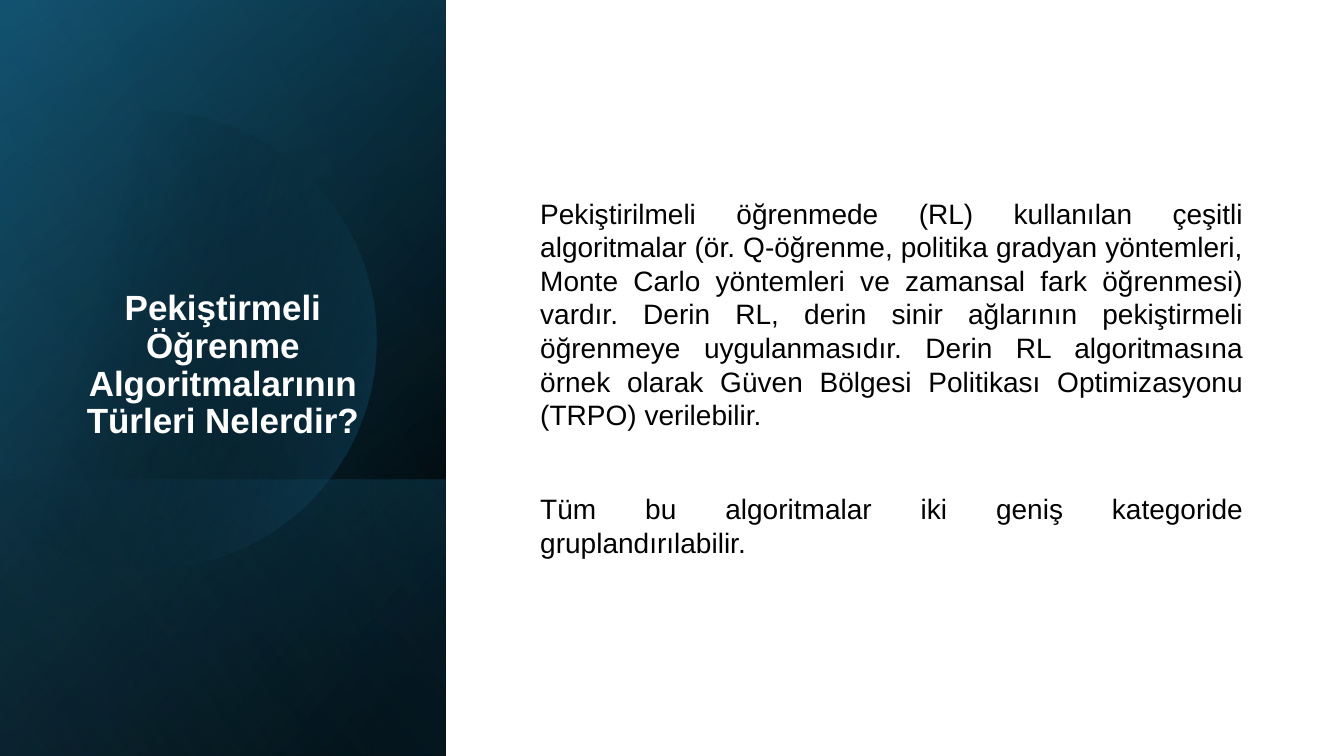
"""Build a slide on the types of reinforcement learning algorithms."""
from dataclasses import dataclass
from math import cos, radians, sin

from lxml import etree
from pptx import Presentation
from pptx.dml.color import RGBColor
from pptx.enum.shapes import MSO_SHAPE
from pptx.enum.text import MSO_ANCHOR, PP_ALIGN
from pptx.oxml.ns import qn
from pptx.util import Inches, Pt

RECT = MSO_SHAPE.RECTANGLE
BOTTOM, MIDDLE = MSO_ANCHOR.BOTTOM, MSO_ANCHOR.MIDDLE
CENTER, JUSTIFY = PP_ALIGN.CENTER, PP_ALIGN.JUSTIFY


@dataclass(frozen=True)
class Theme:
    font: str = "Arial"
    white: str = "FFFFFF"
    black: str = "000000"
    navy: str = "104862"
    teal: str = "156082"
    sky: str = "46B1E1"
    title: int = 25
    body: int = 20


theme = Theme()


def shade(shape, angle, stops):
    """Fill a shape with a two-stop gradient of position, colour and opacity."""
    shape.shadow.inherit = False
    shape.line.fill.background()
    shape.fill.gradient()
    shape.fill.gradient_angle = 360 - angle
    for stop, (place, color, alpha) in zip(shape.fill.gradient_stops, stops):
        stop.position = place
        stop.color.rgb = RGBColor.from_string(color)
    marks = shape.fill._xPr.iter(qn("a:srgbClr"))
    for mark, (place, color, alpha) in zip(marks, stops):
        if alpha < 100:
            etree.SubElement(mark, qn("a:alpha"), val=str(alpha * 1000))


def write(box, anchor, align, size, color, bold, texts, gap=0, lead=1.0):
    """Add a text box with one paragraph for each text."""
    frame = slide.shapes.add_textbox(*map(Inches, box)).text_frame
    frame.word_wrap = True
    frame.vertical_anchor = anchor
    for i, text in enumerate(texts):
        para = frame.add_paragraph() if i else frame.paragraphs[0]
        para.alignment = align
        para.line_spacing = lead
        para.space_before = Pt(gap if i else 0)
        run = para.add_run()
        run.text = text
        run.font.name = theme.font
        run.font.size = Pt(size)
        run.font.bold = bold
        run.font.color.rgb = RGBColor.from_string(color)


deck = Presentation()
deck.slide_width, deck.slide_height = Inches(13.33), Inches(7.5)
slide = deck.slides.add_slide(deck.slide_layouts[6])
slide.background.fill.solid()
slide.background.fill.fore_color.rgb = RGBColor.from_string(theme.white)

WIDE, HIGH, FOLD = 4.42, 7.5, 4.76
panels = [
    (0, 40, [(0, theme.navy, 100), (0.92, theme.black, 100)]),
    (0, 60, [(0.01, theme.teal, 46), (1, theme.black, 0)]),
    (FOLD, 140, [(0.02, theme.teal, 29), (1, theme.black, 30)]),
]
for top, angle, stops in panels:
    panel = slide.shapes.add_shape(
        RECT, 0, Inches(top), Inches(WIDE), Inches(HIGH - top))
    shade(panel, angle, stops)

MID_X, MID_Y, RADIUS = 1.46, 3.37, 2.27
rim = [(Inches(MID_X + RADIUS * cos(radians(turn))),
        Inches(MID_Y + RADIUS * sin(radians(turn))))
       for turn in range(-130, 131, 2)]
path = slide.shapes.build_freeform(*rim[0])
path.add_line_segments(rim[1:], close=True)
shade(path.convert_to_shape(), 14,
      [(0.29, theme.black, 0), (1, theme.teal, 43)])

glow = slide.shapes.add_shape(RECT, 0, 0, Inches(WIDE), Inches(HIGH))
shade(glow, 150, [(0, theme.black, 0), (0.99, theme.sky, 11)])

write((0.46, 1.1, 3.5, 3.33), BOTTOM, CENTER, theme.title, theme.white, True,
      ["Pekiştirmeli Öğrenme Algoritmalarının Türleri Nelerdir?"], lead=0.9)
write((5.26, 0.71, 7.17, 6.07), MIDDLE, JUSTIFY, theme.body, theme.black, False,
      ["Pekiştirilmeli öğrenmede (RL) kullanılan çeşitli algoritmalar "
       "(ör. Q-öğrenme, politika gradyan yöntemleri, Monte Carlo yöntemleri "
       "ve zamansal fark öğrenmesi) vardır. Derin RL, derin sinir ağlarının "
       "pekiştirmeli öğrenmeye uygulanmasıdır. Derin RL algoritmasına örnek "
       "olarak Güven Bölgesi Politikası Optimizasyonu (TRPO) verilebilir.",
       "Tüm bu algoritmalar iki geniş kategoride gruplandırılabilir."],
      gap=43)

deck.save("out.pptx")
